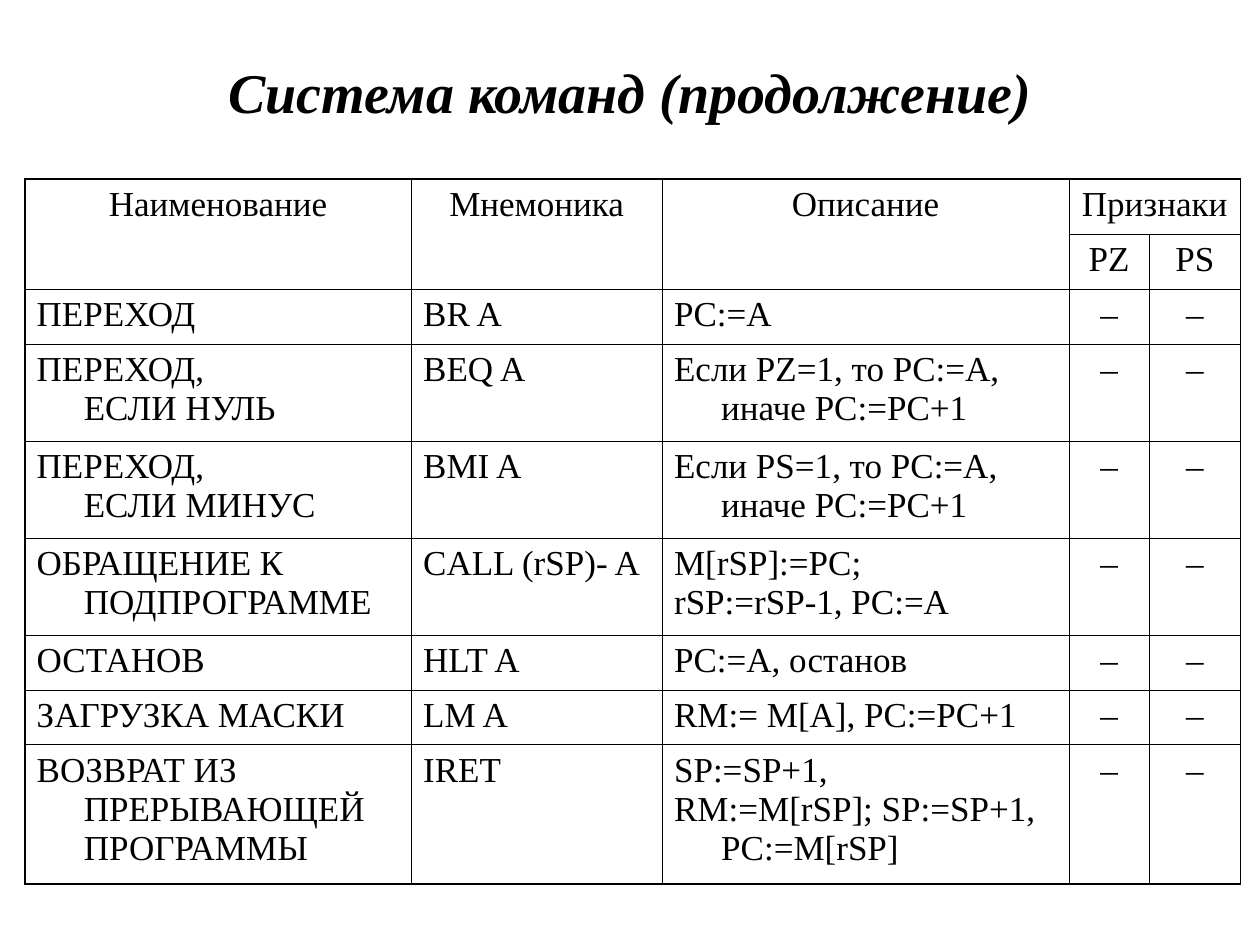
from lxml import etree
from pptx import Presentation
from pptx.dml.color import RGBColor
from pptx.enum.text import MSO_ANCHOR, PP_ALIGN
from pptx.oxml.ns import qn
from pptx.util import Cm, Pt

CENTER, LEFT = PP_ALIGN.CENTER, PP_ALIGN.LEFT
MIDDLE, TOP = MSO_ANCHOR.MIDDLE, MSO_ANCHOR.TOP

COLORS = {"text": "000000", "border": "000000"}
FONT = "Times New Roman"
OUTER_BORDER, INNER_BORDER = Pt(1.08), Pt(0.45)
HANGING = Cm(0.95)

COLUMN_WIDTHS = [7.79, 5.06, 8.2, 1.62, 1.84]
SINGLE, DOUBLE, TRIPLE = 1.1, 1.95, 2.79
ROW_HEIGHTS = [SINGLE] * 3 + [DOUBLE] * 3 + [SINGLE] * 2 + [TRIPLE]
HEADER_ROWS = 2
FIRST_FLAG_COLUMN = 3

HEADER = [
    ["Наименование", "Мнемоника", "Описание", "Признаки", ""],
    ["", "", "", "PZ", "PS"],
]
# "\v" is a line break, "\n" starts a new paragraph
COMMANDS = [
    ["ПЕРЕХОД", "BR A", "PC:=A"],
    ["ПЕРЕХОД, \vЕСЛИ НУЛЬ", "BEQ A", "Если PZ=1, то PC:=A, \vиначе PC:=PC+1"],
    ["ПЕРЕХОД, \vЕСЛИ МИНУС", "BMI A", "Если PS=1, то PC:=A, \vиначе PC:=PC+1"],
    ["ОБРАЩЕНИЕ К ПОДПРОГРАММЕ", "CALL (rSP)- A", "M[rSP]:=PC;\nrSP:=rSP-1, PC:=A"],
    ["ОСТАНОВ", "HLT A", "PC:=A, останов"],
    ["ЗАГРУЗКА МАСКИ", "LM A", "RM:= M[A], PC:=PC+1"],
    ["ВОЗВРАТ ИЗ \vПРЕРЫВАЮЩЕЙ ПРОГРАММЫ", "IRET",
     "SP:=SP+1,\nRM:=M[rSP]; SP:=SP+1, PC:=M[rSP]"],
]
UNCHANGED_FLAGS = ["–", "–"]


def write_text(frame, text, size, align, emphasis=False):
    frame.text = text
    for paragraph in frame.paragraphs:
        paragraph.alignment = align
        for run in paragraph.runs:
            run.font.name = FONT
            run.font.size = Pt(size)
            run.font.bold = run.font.italic = emphasis
            run.font.color.rgb = RGBColor.from_string(COLORS["text"])


def indent_wrapped_lines(frame):
    for paragraph in frame.paragraphs:
        properties = paragraph._p.get_or_add_pPr()
        properties.set("marL", str(HANGING))
        properties.set("indent", str(-HANGING))


def set_borders(cell, on_outside):
    """Draw the four sides; on_outside tells which lie on the table's edge."""
    properties = cell._tc.get_or_add_tcPr()
    for position, (side, outside) in enumerate(on_outside.items()):
        line = etree.Element(qn(f"a:ln{side}"))
        line.set("w", str(OUTER_BORDER if outside else INNER_BORDER))
        fill = etree.SubElement(line, qn("a:solidFill"))
        etree.SubElement(fill, qn("a:srgbClr")).set("val", COLORS["border"])
        properties.insert(position, line)


def add_title(slide, left, top, width, height):
    title = slide.shapes.add_textbox(left, top, width, height)
    frame = title.text_frame
    frame.word_wrap = True
    frame.vertical_anchor = MIDDLE
    write_text(frame, "Система команд (продолжение)", 32, CENTER, emphasis=True)


def add_command_table(slide, left, top, width, height):
    rows = HEADER + [command + UNCHANGED_FLAGS for command in COMMANDS]
    last_row, last_column = len(rows) - 1, len(COLUMN_WIDTHS) - 1
    table = slide.shapes.add_table(
        len(rows), len(COLUMN_WIDTHS), left, top, width, height).table
    table.first_row = table.horz_banding = False
    for column, column_width in zip(table.columns, COLUMN_WIDTHS):
        column.width = Cm(column_width)
    for row, row_height in zip(table.rows, ROW_HEIGHTS):
        row.height = Cm(row_height)

    for r, texts in enumerate(rows):
        for c, text in enumerate(texts):
            cell = table.cell(r, c)
            cell.fill.background()
            cell.vertical_anchor = TOP
            cell.margin_left = cell.margin_right = Cm(0.24)
            cell.margin_top = cell.margin_bottom = Cm(0.13)
            centered = r < HEADER_ROWS or c >= FIRST_FLAG_COLUMN
            write_text(cell.text_frame, text, 20, CENTER if centered else LEFT)
            indent_wrapped_lines(cell.text_frame)
            set_borders(cell, {"L": c == 0, "R": c == last_column,
                               "T": r == 0, "B": r == last_row})

    for c in range(FIRST_FLAG_COLUMN):
        table.cell(0, c).merge(table.cell(HEADER_ROWS - 1, c))
    table.cell(0, FIRST_FLAG_COLUMN).merge(table.cell(0, last_column))


def main():
    presentation = Presentation()
    presentation.slide_width, presentation.slide_height = Cm(25.4), Cm(19.05)
    slide = presentation.slides.add_slide(presentation.slide_layouts[6])
    add_title(slide, Cm(1.27), Cm(0.76), Cm(22.86), Cm(2.16))
    add_command_table(slide, Cm(0.5), Cm(3.61),
                      Cm(sum(COLUMN_WIDTHS)), Cm(sum(ROW_HEIGHTS)))
    presentation.save("out.pptx")


if __name__ == "__main__":
    main()
